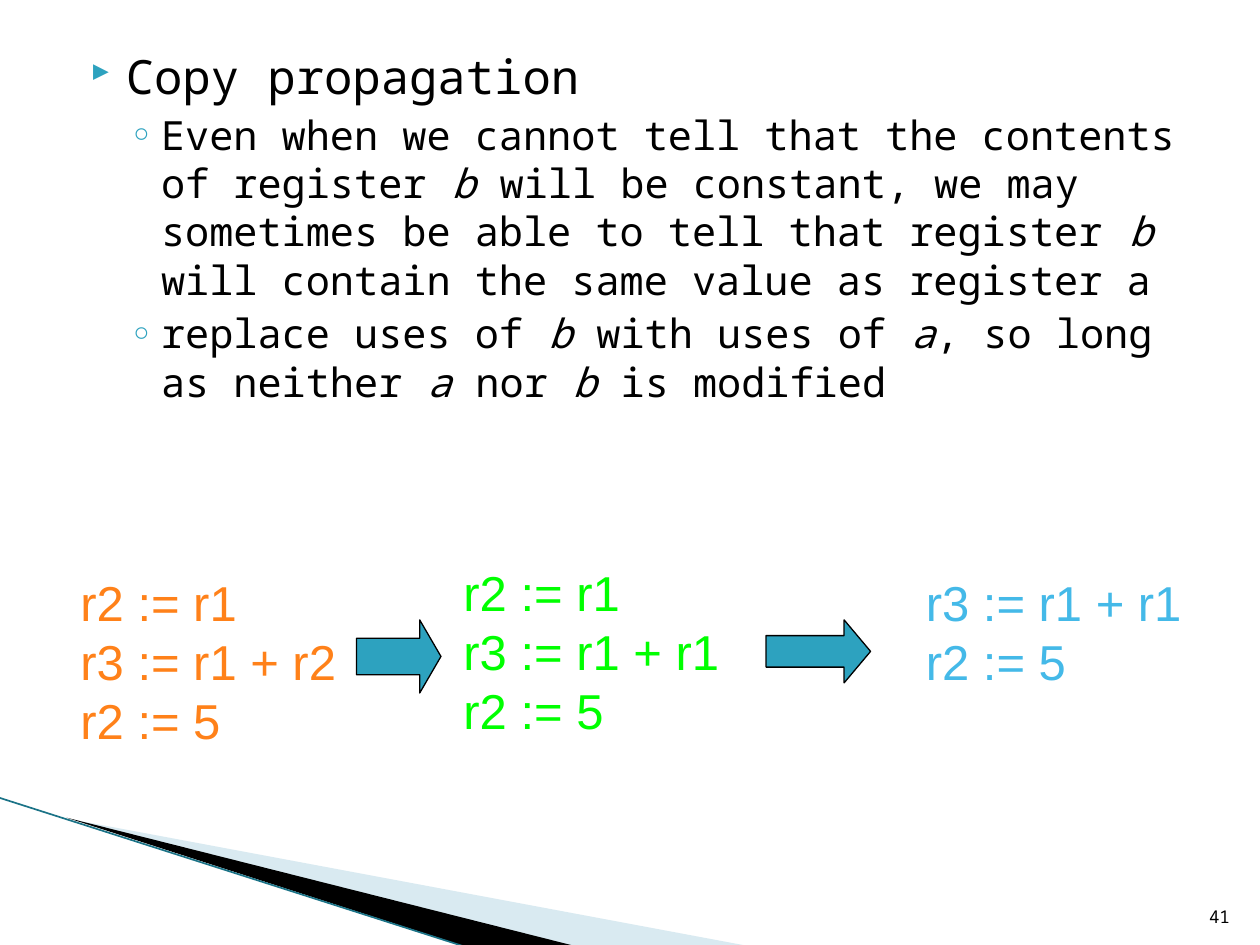
from lxml import etree
from pptx import Presentation
from pptx.dml.color import RGBColor
from pptx.enum import shapes as kinds, text as txt
from pptx.oxml.ns import qn
from pptx.util import Inches, Pt

MONO = "Noto Sans Mono"
TEAL = "2DA2BF"
POINTS = [
    (0, ["Copy propagation"]),
    (1, ["Even when we cannot tell that the contents of register ", "b ",
         "will be constant, we may sometimes be able to tell that register ",
         "b ", "will contain the same value as register a"]),
    (1, ["replace uses of ", "b ", "with uses of ", "a", ", so long as neither ",
         "a ", "nor ", "b ", "is modified"]),
]
LEVELS = [
    dict(size=27, left=0.4, hang=0.28, before=4, mark="}", face="Wingdings 3",
         scale=68),
    dict(size=23, left=0.68, hang=0.25, before=3.2, mark="◦", face="Verdana",
         scale=100),
]
CODES = [
    ((0.54, 4.5, 2.5, 2.2), "FF8119", ["r2 := r1", "r3 := r1 + r2", "r2 := 5"]),
    ((3.58, 4.42, 2.58, 2.2), "00FF00", ["r2 := r1", "r3 := r1 + r1", "r2 := 5"]),
    ((7.25, 4.5, 2.5, 1.74), "44B9E8", ["r3 := r1 + r1", "r2 := 5"]),
]
ARROWS = [((2.83, 4.92, 0.67, 0.58), 0.29), ((6.08, 4.92, 0.83, 0.5), 0.42)]
WEDGES = [
    ("A0CBDC", 40, [(0.55, 6.5), (5.95, 7.51), (4.56, 7.51)]),
    ("000000", 100, [(0.53, 6.49), (4.57, 7.51), (3.72, 7.52)]),
]


def color(code):
    return RGBColor.from_string(code)


def add(node, tag, **attrs):
    return etree.SubElement(node, qn(tag), attrs)


def paint(shape, fill):
    shape.shadow.inherit = False
    shape.fill.solid()
    shape.fill.fore_color.rgb = color(fill)


def frame(slide, spot, anchor=txt.MSO_ANCHOR.TOP):
    body = slide.shapes.add_textbox(*map(Inches, spot)).text_frame
    body.word_wrap = True
    body.vertical_anchor = anchor
    return body


def write(body, parts, size, font=MONO, ink="000000", gap=None, before=0,
          align=txt.PP_ALIGN.LEFT):
    par = body.paragraphs[0]
    if par.runs:
        par = body.add_paragraph()
    par.alignment = align
    par.space_before = Pt(before)
    if gap:
        par.line_spacing = gap
    for n, part in enumerate(parts):
        run = par.add_run()
        run.text = part
        run.font.size = Pt(size)
        run.font.name = font
        run.font.italic = n % 2 == 1
        run.font.color.rgb = color(ink)
    return par


def bullet(par, left, hang, mark, face, scale):
    props = par._p.get_or_add_pPr()
    props.set("marL", str(Inches(left)))
    props.set("indent", str(-Inches(hang)))
    add(add(props, "a:buClr"), "a:srgbClr", val=TEAL)
    add(props, "a:buSzPct", val=str(scale * 1000))
    add(props, "a:buFont", typeface=face)
    add(props, "a:buChar", char=mark)


def wedge(slide, fill, alpha, dots):
    dots = [(Inches(x), Inches(y)) for x, y in dots]
    form = slide.shapes.build_freeform(*dots[0], scale=1.0)
    form.add_line_segments(dots[1:], close=True)
    shape = form.convert_to_shape()
    paint(shape, fill)
    shape.line.fill.background()
    if alpha < 100:
        tint = shape._element.spPr.find(".//" + qn("a:srgbClr"))
        add(tint, "a:alpha", val=str(alpha * 1000))


def main():
    deck = Presentation()
    deck.slide_width, deck.slide_height = Inches(10), Inches(7.5)
    slide = deck.slides.add_slide(deck.slide_layouts[6])

    for item in WEDGES:
        wedge(slide, *item)
    edge = slide.shapes.add_connector(
        kinds.MSO_CONNECTOR.STRAIGHT, *map(Inches, (-0.01, 6.33, 3.71, 7.52)))
    edge.line.color.rgb = color("1B7387")
    edge.line.width = Pt(0.95)
    add(edge._element.spPr, "a:effectLst")

    body = frame(slide, (0.5, 0.33, 9, 6.37))
    for level, parts in POINTS:
        look = LEVELS[level]
        par = write(body, parts, look["size"], before=look["before"])
        bullet(par, look["left"], look["hang"], look["mark"], look["face"],
               look["scale"])

    page = frame(slide, (9.46, 7.01, 0.4, 0.4), txt.MSO_ANCHOR.BOTTOM)
    write(page, ["41"], 10, align=txt.PP_ALIGN.RIGHT)

    for spot, ink, lines in CODES:
        code = frame(slide, spot)
        for line in lines:
            write(code, [line], 28, font="Arial", ink=ink, gap=Pt(33.5))

    for spot, head in ARROWS:
        arrow = slide.shapes.add_shape(
            kinds.MSO_SHAPE.RIGHT_ARROW, *map(Inches, spot))
        arrow.adjustments[0] = 0.5
        arrow.adjustments[1] = head
        paint(arrow, TEAL)
        arrow.line.color.rgb = color("000000")
        arrow.line.width = Pt(0.75)

    deck.save("out.pptx")


if __name__ == "__main__":
    main()
